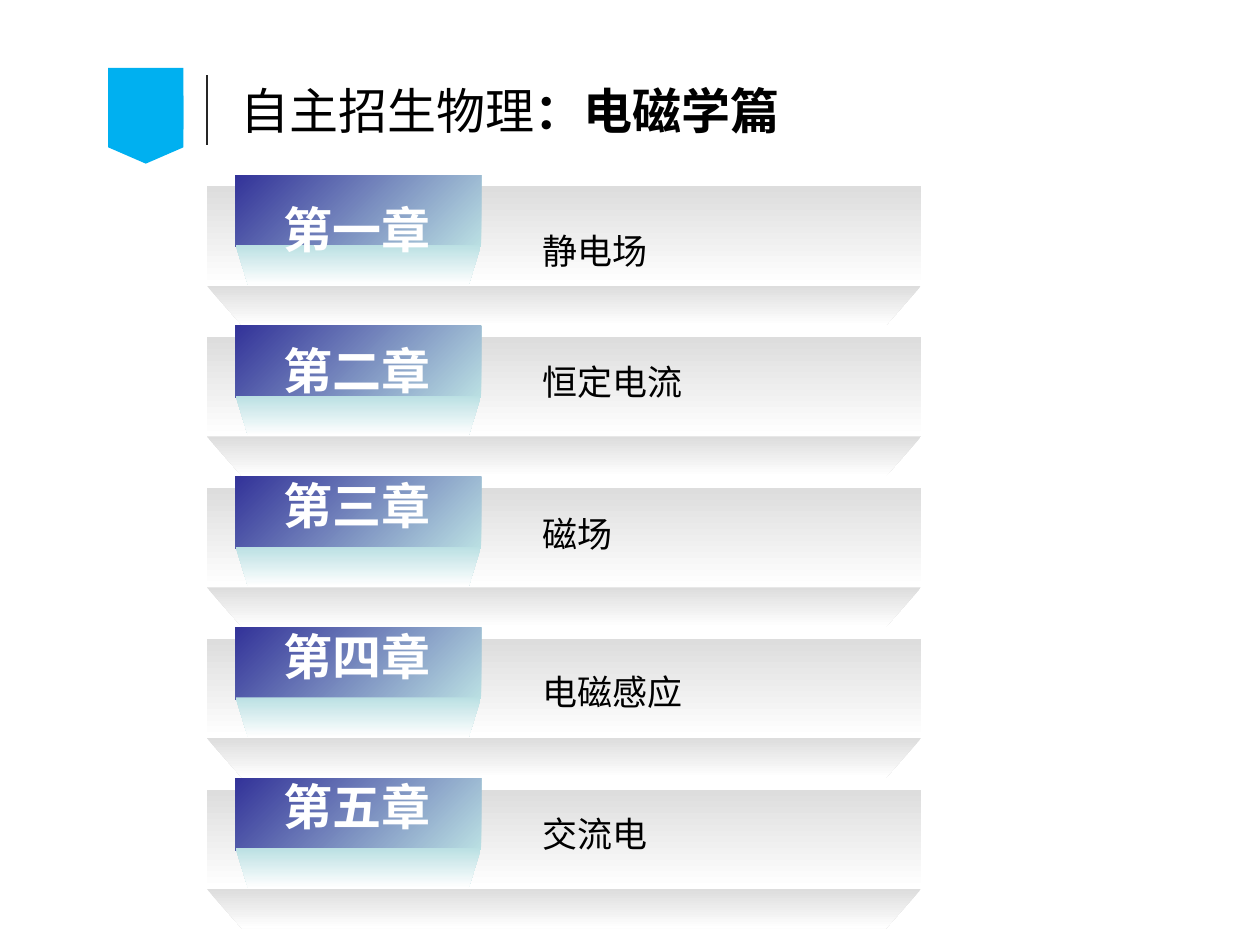
from dataclasses import dataclass

from lxml import etree
from pptx import Presentation
from pptx.dml.color import RGBColor
from pptx.enum import shapes, text
from pptx.oxml.ns import qn
from pptx.util import Cm, Pt


@dataclass(frozen=True)
class Theme:
    accent: str = "00B0F0"
    rule: str = "262626"
    ink: str = "000000"
    light: str = "FFFFFF"
    grey: str = "DDDDDD"
    teal: str = "BBE0E3"
    navy: str = "333399"
    title_font: str = "Arial"
    label_font: str = "Noto Sans CJK SC"
    topic_font: str = "Calibri"
    heading_size: int = 28
    topic_size: int = 20


T = Theme()
DOWN, TO_UPPER_LEFT = 270, 135
BAND_LEFT, BAND_TOP, BAND_WIDTH, BAND_HEIGHT = 4.17, 3.76, 14.4, 2
TAB_LEFT, TAB_WIDTH, TAB_HEIGHT, TAB_RISE = 4.75, 4.95, 1.45, 0.23
FOLD_HEIGHT, ROW_PITCH = 0.8, 3.04

CHAPTERS = [
    ("第一章", 3.89, "静电场", 4.5),
    ("第二章", 6.73, "恒定电流", 7.14),
    ("第三章", 9.47, "磁场", 10.21),
    ("第四章", 12.5, "电磁感应", 13.39),
    ("第五章", 15.52, "交流电", 16.26),
]


def paint(sp, colors, angle=DOWN):
    if len(colors) == 1:
        sp.fill.solid()
        sp.fill.fore_color.rgb = RGBColor.from_string(colors[0])
    else:
        sp.fill.gradient()
        sp.fill.gradient_angle = angle
        for stop, color in zip(sp.fill.gradient_stops, colors):
            stop.color.rgb = RGBColor.from_string(color)
    sp.line.fill.background()
    sp.shadow.inherit = False


def add_rect(group, left, top, width, height, colors, angle=DOWN):
    sp = group.shapes.add_shape(
        shapes.MSO_SHAPE.RECTANGLE, Cm(left), Cm(top), Cm(width), Cm(height))
    paint(sp, colors, angle)


def add_polygon(group, points, colors):
    start, *rest = [(Cm(x), Cm(y)) for x, y in points]
    builder = group.shapes.build_freeform(*start)
    builder.add_line_segments(rest, close=True)
    paint(builder.convert_to_shape(), colors)


def add_fold(group, left, top, width, inset, colors):
    right, bottom = left + width, top + FOLD_HEIGHT
    add_polygon(group, [(left, top), (left + inset, bottom),
                        (right - inset, bottom), (right, top)], colors)


def format_paragraph(p, font, size, color, bold=None):
    p.alignment = text.PP_ALIGN.LEFT
    p.font.name = font
    p.font.size = Pt(size)
    p.font.bold = bold
    p.font.color.rgb = RGBColor.from_string(color)
    etree.SubElement(p._p.pPr.find(qn("a:defRPr")), qn("a:ea"), typeface=T.label_font)


def add_text(s, content, left, top, width, height, font, size, color, bold=None):
    tf = s.shapes.add_textbox(Cm(left), Cm(top), Cm(width), Cm(height)).text_frame
    tf.word_wrap = True
    tf.auto_size = text.MSO_AUTO_SIZE.SHAPE_TO_FIT_TEXT
    p = tf.paragraphs[0]
    p.text = content
    format_paragraph(p, font, size, color, bold)


def add_flag(s):
    group = s.shapes.add_group_shape()
    add_polygon(group, [(2.18, 1.93), (3.7, 1.93), (3.7, 2.97),
                        (2.94, 3.3), (2.18, 2.97)], [T.accent])
    add_rect(group, 2.18, 1.37, 1.52, 1.24, [T.accent])


def add_rule(s):
    line = s.shapes.add_connector(
        shapes.MSO_CONNECTOR.STRAIGHT, Cm(4.17), Cm(1.52), Cm(4.17), Cm(2.92))
    line.line.color.rgb = RGBColor.from_string(T.rule)
    line.line.width = Pt(0.75)
    etree.SubElement(line._element.spPr, qn("a:effectLst"))


def set_title(s):
    title = s.shapes.title
    title.left, title.top, title.width, title.height = Cm(4.6), Cm(0.91), Cm(16.05), Cm(2.62)
    tf = title.text_frame
    tf.vertical_anchor = text.MSO_ANCHOR.MIDDLE
    p = tf.paragraphs[0]
    p.add_run().text = "自主招生物理"
    r = p.add_run()
    r.text = "：电磁学篇"
    r.font.bold = True
    format_paragraph(p, T.title_font, T.heading_size, T.ink)


def add_band(s, top):
    group = s.shapes.add_group_shape()
    add_rect(group, BAND_LEFT, top, BAND_WIDTH, BAND_HEIGHT, [T.grey, T.light])
    add_rect(group, TAB_LEFT, top - TAB_RISE, TAB_WIDTH, TAB_HEIGHT,
             [T.teal, T.navy], TO_UPPER_LEFT)
    add_fold(group, BAND_LEFT, top + BAND_HEIGHT, BAND_WIDTH, 0.71, [T.grey, T.light])
    add_fold(group, TAB_LEFT, top + 1.18, TAB_WIDTH, 0.25, [T.teal, T.light])


def main():
    prs = Presentation()
    prs.slide_width, prs.slide_height = Cm(25.4), Cm(19.05)
    s = prs.slides.add_slide(prs.slide_layouts[5])
    add_flag(s)
    add_rule(s)
    set_title(s)
    for i, (label, label_top, topic, topic_top) in enumerate(CHAPTERS):
        add_band(s, BAND_TOP + i * ROW_PITCH)
        add_text(s, label, 5.46, label_top, 4.04, 1.45,
                 T.label_font, T.heading_size, T.light, True)
        add_text(s, topic, 10.69, topic_top, 7.4, 1.12,
                 T.topic_font, T.topic_size, T.ink)
    prs.save("out.pptx")


if __name__ == "__main__":
    main()
